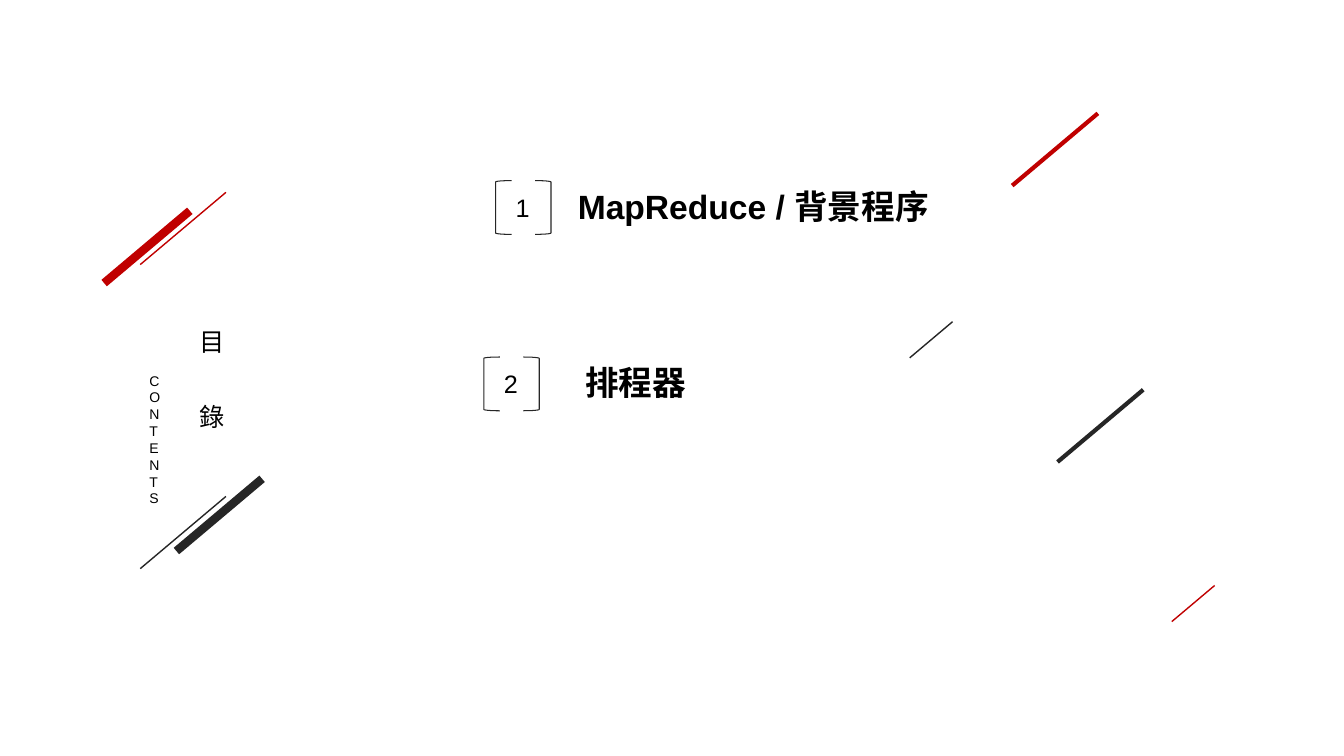
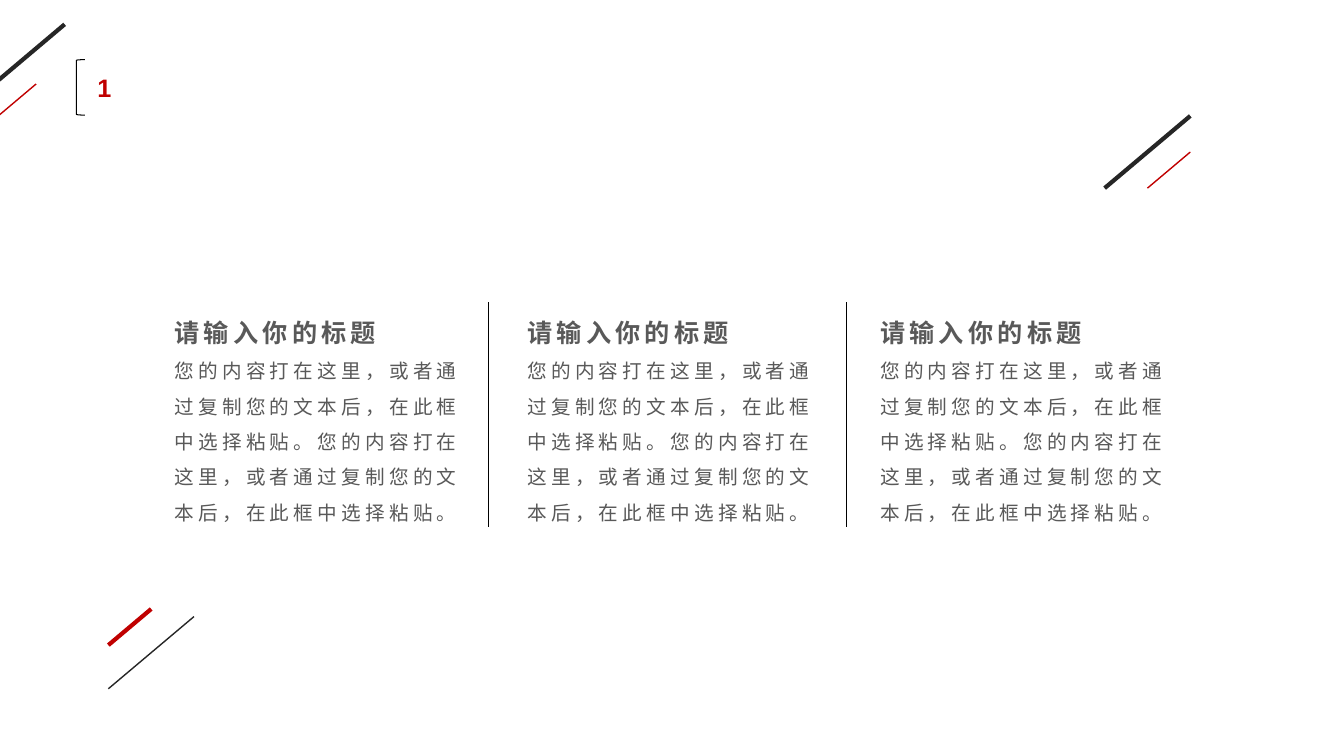
import pptx
import pptx.dml.color
import pptx.enum.shapes
import pptx.enum.text
import pptx.oxml.ns
import pptx.util
from lxml import etree

COLOURS = {"red": "C00000", "dark": "262626", "black": "000000", "grey": "595959"}
CJK_FONT = "Noto Sans CJK SC"
SHAPES = pptx.enum.shapes.MSO_SHAPE

presentation = pptx.Presentation()
presentation.slide_width = pptx.util.Inches(13.333)
presentation.slide_height = pptx.util.Inches(7.5)

# Grid: 160 columns by 90 rows of square cells
CELL = presentation.slide_height / 90
FULL_SLASH, HALF_SLASH = (10.2, 8.6), (5.1, 4.3)

# Text styles: font attributes, colour and letter spacing in points
LABEL = {"font": {"size": pptx.util.Pt(18), "name": "Arial", "bold": False}, "colour": "black"}
CAPTION = {"font": {**LABEL["font"], "size": pptx.util.Pt(10)}, "colour": "black"}
ENTRY = {"font": {**LABEL["font"], "size": pptx.util.Pt(24), "bold": True}, "colour": "black"}
SECTION = {"font": {**LABEL["font"], "bold": True}, "colour": "red"}
HEADING = {"font": {"size": pptx.util.Pt(18), "name": CJK_FONT, "bold": True},
           "colour": "grey", "spacing": 3}
BODY = {**HEADING, "font": {"size": pptx.util.Pt(14), "name": CJK_FONT, "bold": False}}


def write_text(shape, at, lines, wrap=True, line_spacing=1.0):
    """Place a text shape on the grid and fill it with (text, style) lines."""
    for side, cells in zip(("left", "top", "width", "height"), at):
        setattr(shape, side, round(cells * CELL))
    frame = shape.text_frame
    frame_format = {"word_wrap": wrap,
                    "auto_size": pptx.enum.text.MSO_AUTO_SIZE.SHAPE_TO_FIT_TEXT,
                    "vertical_anchor": pptx.enum.text.MSO_ANCHOR.TOP}
    for name, value in frame_format.items():
        setattr(frame, name, value)
    for index, (text, style) in enumerate(lines):
        paragraph = frame.add_paragraph() if index else frame.paragraphs[0]
        paragraph.alignment = pptx.enum.text.PP_ALIGN.LEFT
        paragraph.line_spacing = line_spacing
        run = paragraph.add_run()
        run.text = text
        for name, value in style["font"].items():
            setattr(run.font, name, value)
        run.font.color.rgb = pptx.dml.color.RGBColor.from_string(COLOURS[style["colour"]])
        properties = run.font._element
        etree.SubElement(properties, pptx.oxml.ns.qn("a:ea"), typeface=CJK_FONT)
        if "spacing" in style:
            properties.set("spc", str(style["spacing"] * 100))


def add_line(slide, start, end, colour, weight):
    """Draw a straight line between two grid points."""
    points = [round(cells * CELL) for cells in (*start, *end)]
    line = slide.shapes.add_connector(pptx.enum.shapes.MSO_CONNECTOR.STRAIGHT, *points)
    line.line.color.rgb = pptx.dml.color.RGBColor.from_string(COLOURS[colour])
    line.line.width = pptx.util.Pt(weight)
    etree.SubElement(line._element.spPr, pptx.oxml.ns.qn("a:effectLst"))


contents = presentation.slides.add_slide(presentation.slide_layouts[5])
section = presentation.slides.add_slide(presentation.slide_layouts[6])

# Slashes on both slides: upper right end, size, colour, weight
slashes = [
    (contents, (22.6, 25.1), FULL_SLASH, "red", 6),
    (contents, (26.9, 22.9), FULL_SLASH, "red", 1),
    (contents, (31.2, 57), FULL_SLASH, "dark", 6),
    (contents, (26.9, 59.1), FULL_SLASH, "dark", 1),
    (contents, (130.7, 13.5), FULL_SLASH, "red", 3),
    (contents, (113.4, 38.3), HALF_SLASH, "dark", 1),
    (contents, (144.6, 69.7), HALF_SLASH, "red", 1),
    (contents, (136.1, 46.4), FULL_SLASH, "dark", 3),
    (section, (7.7, 2.9), FULL_SLASH, "dark", 3),
    (section, (4.3, 10), HALF_SLASH, "red", 1),
    (section, (141.7, 13.8), FULL_SLASH, "dark", 3),
    (section, (141.7, 18.1), HALF_SLASH, "red", 1),
    (section, (18, 72.5), HALF_SLASH, "red", 3),
    (section, (23.1, 73.4), FULL_SLASH, "dark", 1),
]
for slide, (right, top), (width, height), colour, weight in slashes:
    add_line(slide, (right, top), (right - width, top + height), colour, weight)

# Contents: upright title and caption
write_text(contents.shapes.title, (22.6, 32.8, 5.4, 17.9),
           [("目", LABEL), ("錄", LABEL)], wrap=False, line_spacing=2.5)
write_text(contents.shapes.add_textbox(0, 0, 0, 0), (16.6, 43.7, 3, 17.4),
           [("CONTENTS", CAPTION)])

# Contents: numbered entries
entries = [
    ("1", "MapReduce / 背景程序", 59, 21.5, 67.6, 45.7, False),
    ("2", "排程器", 57.6, 42.5, 68.5, 80, True),
]
brackets = [(section, SHAPES.LEFT_BRACKET, (9.1, 7.1, 1, 6.6), "black")]
for number, text, left, top, text_left, text_width, wrap in entries:
    write_text(contents.shapes.add_textbox(0, 0, 0, 0), (left + 1.2, top + 0.8, 4.1, 4.8),
               [(number, LABEL)], wrap=False)
    write_text(contents.shapes.add_textbox(0, 0, 0, 0), (text_left, top, text_width, 6),
               [(text, ENTRY)], wrap=wrap)
    brackets += [
        (contents, SHAPES.LEFT_BRACKET, (left, top, 1.9, 6.4), "dark"),
        (contents, SHAPES.RIGHT_BRACKET, (left + 4.7, top, 1.9, 6.4), "dark"),
    ]

# Brackets on both slides
for slide, kind, at, colour in brackets:
    bracket = slide.shapes.add_shape(kind, *(round(cells * CELL) for cells in at))
    bracket.shadow.inherit = False
    bracket.fill.background()
    bracket.line.color.rgb = pptx.dml.color.RGBColor.from_string(COLOURS[colour])
    bracket.line.width = pptx.util.Pt(0.75)

# Section: number, three text columns and the dividers between them
write_text(section.shapes.add_textbox(0, 0, 0, 0), (10.4, 8, 4.9, 4.8),
           [("1", SECTION)], wrap=False)
sentence = "您的内容打在这里，或者通过复制您的文本后，在此框中选择粘贴。"
for column in range(3):
    write_text(section.shapes.add_textbox(0, 0, 0, 0), (19.6 + 42 * column, 35.4, 38.8, 27.8),
               [("请输入你的标题", HEADING), (sentence * 2, BODY)], line_spacing=1.5)
for divider in (58.2, 100.8):
    add_line(section, (divider, 36), (divider, 62.8), "black", 0.75)

presentation.save("out.pptx")
